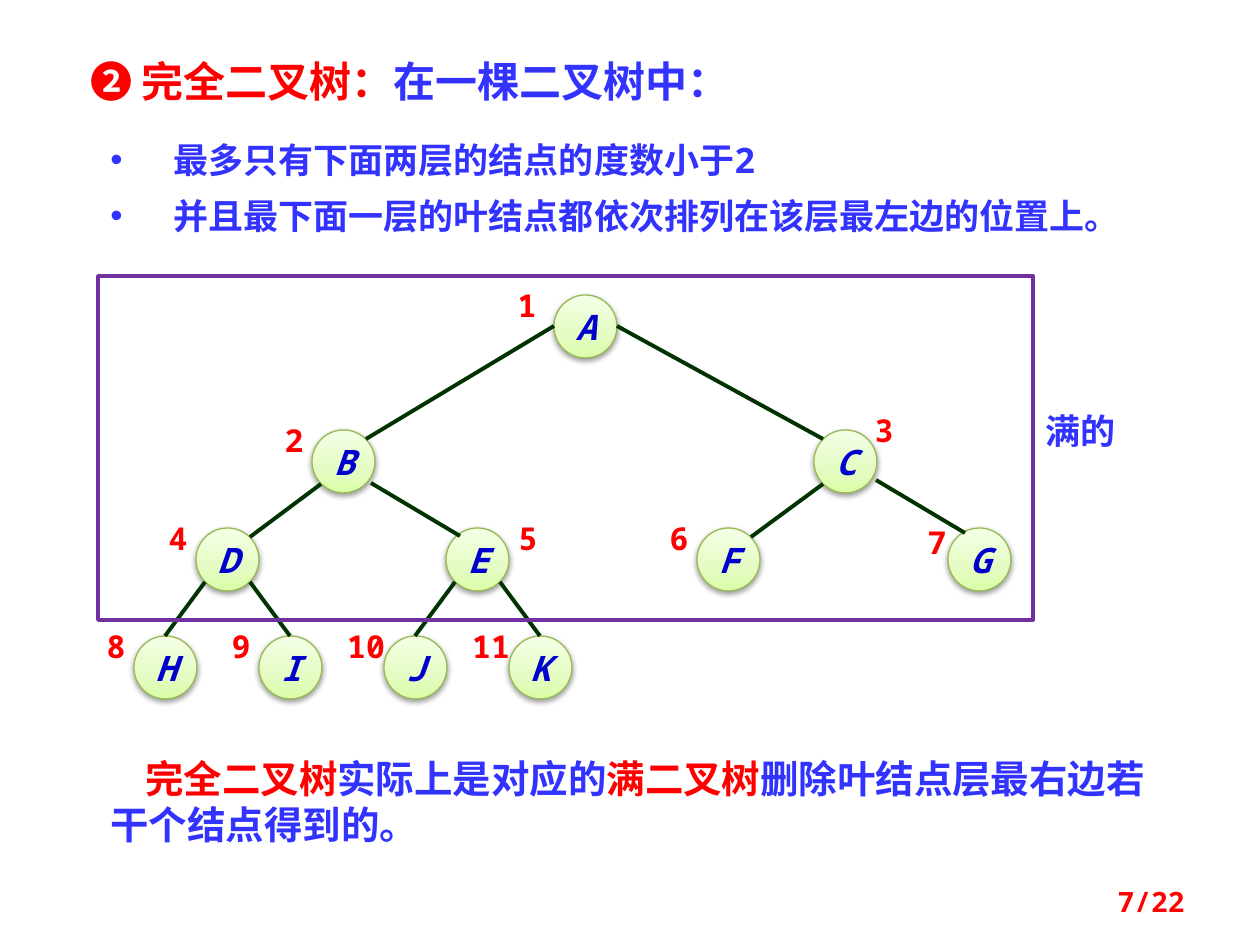
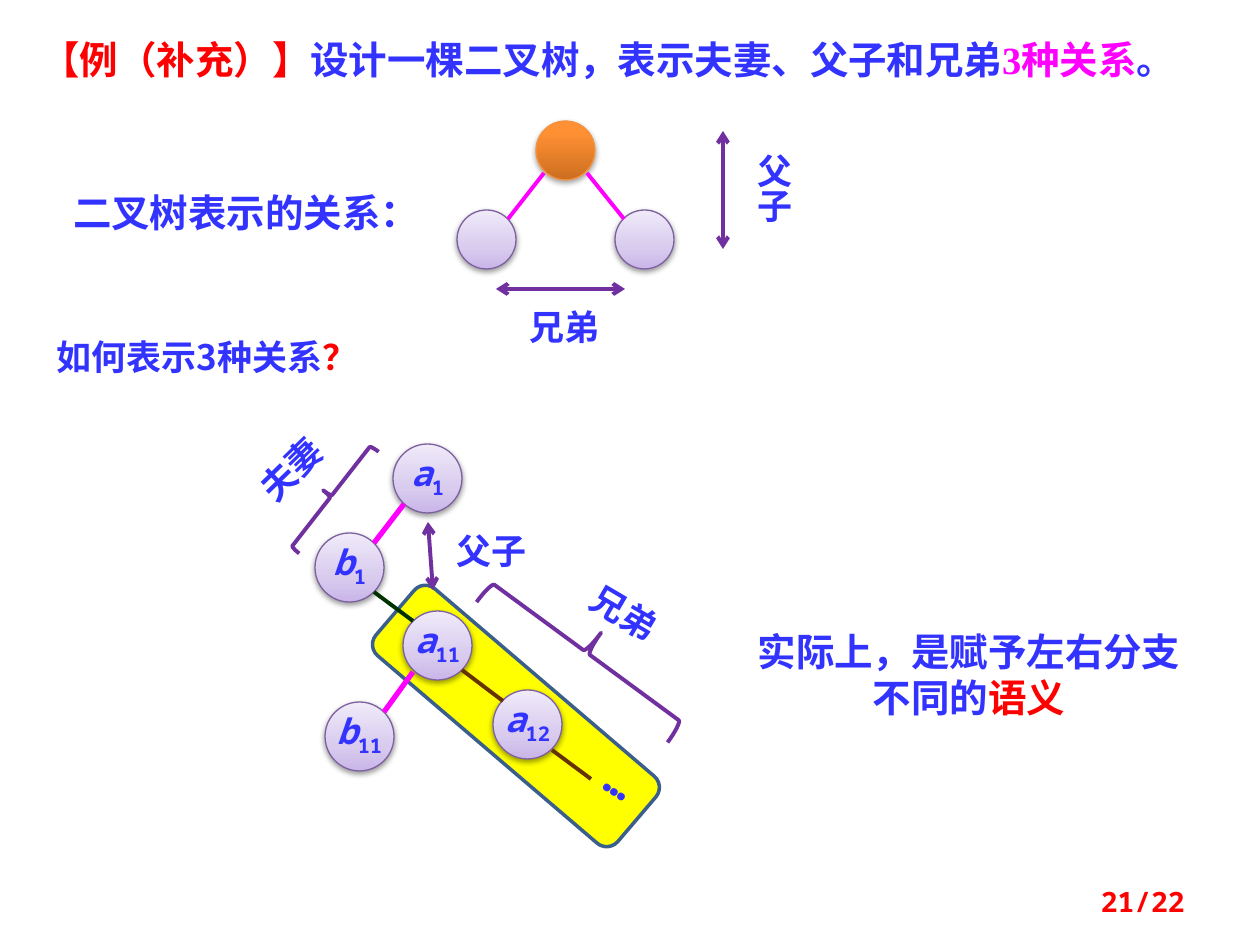
"""Build two slides on complete binary trees and on family relations shown as a binary tree."""
from pptx import Presentation
from pptx.dml.color import RGBColor
from pptx.enum.shapes import MSO_CONNECTOR, MSO_SHAPE
from pptx.enum.text import MSO_ANCHOR, PP_ALIGN
from pptx.oxml import parse_xml
from pptx.oxml.ns import nsdecls, qn
from pptx.util import Pt
from lxml.etree import SubElement

SCALE = 914400 / 126
MONO, SANS, SERIF = "Noto Sans Mono", "Noto Sans CJK SC", "Times New Roman"
BLUE, RED, PINK, PURPLE = "3333FF", "FF0000", "FF00FF", "7030A0"
NAVY, GREEN, BROWN = "0000CC", "003300", "663300"
LEFT, CENTER, RIGHT = PP_ALIGN.LEFT, PP_ALIGN.CENTER, PP_ALIGN.RIGHT
LIME_BALL = ("98B955", 38, [(0, "DAFDA7"), (35, "E4FCC2"), (100, "F5FFE7")])
LILAC_BALL = ("7D60A0", 38, [(0, "C9B5E8"), (35, "D8CBEE"), (100, "F0EAF9")])
ORANGE_BALL = ("F69240", 35, [(0, "CC6E20"), (80, "FF9034"), (100, "FF9136")])


def add_item(page, at, paragraphs=(), size=20, font=MONO, align=LEFT, kind=None, ball=None,
             fill=None, line=None, width=2, turn=0, middle=False, inset=True, wrap=True):
    """Add a text box, or a preset shape if kind is given; a run is (text, colour[, font])."""
    place = [int(length * SCALE) for length in at]
    if kind is None:
        box = page.shapes.add_textbox(*place)
    else:
        box = page.shapes.add_shape(kind, *place)
        box.shadow.inherit = False
        if fill:
            box.fill.solid()
            box.fill.fore_color.rgb = RGBColor.from_string(fill)
        else:
            box.fill.background()
        box.line.color.rgb = RGBColor.from_string(ball[0] if ball else line)
        box.line.width = Pt(0.75 if ball else width)
    if ball:
        properties = box.element.spPr
        stops = "".join(f'<a:gs pos="{position * 1000}"><a:srgbClr val="{colour}"/></a:gs>'
                        for position, colour in ball[2])
        properties.replace(properties.find(qn("a:noFill")), parse_xml(
            f'<a:gradFill {nsdecls("a")} rotWithShape="1"><a:gsLst>{stops}</a:gsLst>'
            '<a:lin ang="16200000" scaled="0"/></a:gradFill>'))
        properties.find(qn("a:effectLst")).append(parse_xml(
            f'<a:outerShdw {nsdecls("a")} blurRad="40000" dist="20000" dir="5400000" rotWithShape="0">'
            f'<a:srgbClr val="000000"><a:alpha val="{ball[1] * 1000}"/></a:srgbClr></a:outerShdw>'))
    box.rotation = turn
    frame = box.text_frame
    frame.word_wrap = wrap
    frame.vertical_anchor = MSO_ANCHOR.MIDDLE if middle else MSO_ANCHOR.TOP
    if not inset:
        frame.margin_left = frame.margin_right = frame.margin_top = frame.margin_bottom = 0
    for number, runs in enumerate(paragraphs):
        para = frame.add_paragraph() if number else frame.paragraphs[0]
        para.alignment = align
        para.line_spacing = Pt(round(size * 1.21, 1))
        for text, colour, *other_font in runs:
            span = para.add_run()
            span.text = text
            span.font.size = Pt(size)
            span.font.bold = True
            span.font.name = other_font[0] if other_font else font
            span.font.color.rgb = RGBColor.from_string(colour)
            SubElement(span.font._element, qn("a:ea")).set("typeface", SANS)
    return box


def add_line(page, start, end, colour=GREEN, width=2.25, arrows=False):
    """Draw a straight line, with open arrowheads at both ends if wanted."""
    ends = [int(length * SCALE) for length in (*start, *end)]
    line = page.shapes.add_connector(MSO_CONNECTOR.STRAIGHT, *ends)
    line.line.color.rgb = RGBColor.from_string(colour)
    line.line.width = Pt(width)
    properties = line.element.spPr
    if arrows:
        for tag in ("a:headEnd", "a:tailEnd"):
            SubElement(properties.find(qn("a:ln")), qn(tag)).set("type", "arrow")
    SubElement(properties, qn("a:effectLst"))


deck = Presentation()
deck.slide_width, deck.slide_height = int(1260 * SCALE), int(945 * SCALE)
tree_page, family_page = [deck.slides.add_slide(deck.slide_layouts[6]) for _ in range(2)]

add_item(tree_page, (78, 49, 798, 63),
         [[("❷ 完全二叉树：", RED), ("在一棵二叉树中：", BLUE)]], size=24)
conditions = add_item(tree_page, (98, 118, 1074, 126), [
    [("最多只有下面两层的结点的度数小于2", BLUE)],
    [("并且最下面一层的叶结点都依次排列在该层最左边的位置上。", BLUE)]])
for para in conditions.text_frame.paragraphs:
    para.line_spacing = Pt(32)
    layout = para._p.get_or_add_pPr()
    layout.set("marL", str(int(63 * SCALE)))
    layout.set("indent", str(int(-63 * SCALE)))
    SubElement(layout, qn("a:buFont")).set("typeface", "Arial")
    SubElement(layout, qn("a:buChar")).set("char", "•")

NODE = 63
LEVELS = [295, 430, 528, 636]
node_lefts = {"A": 554, "B": 312, "C": 814, "D": 196, "E": 446, "F": 697, "G": 948,
              "H": 134, "I": 259, "J": 384, "K": 509}
label_offsets = {"A": (-54, -9), "C": (43, -19), "E": (55, -9), "G": (-38, -5)}
node_places = {}
for number, (name, left) in enumerate(node_lefts.items(), start=1):
    top = LEVELS[number.bit_length() - 1]
    node_places[name] = (left, top)
    node = add_item(tree_page, (left, top, NODE, NODE), [[(name, NAVY)]], align=CENTER,
                    kind=MSO_SHAPE.OVAL, ball=LIME_BALL, middle=True)
    node.text_frame.paragraphs[0].runs[0].font.italic = True
    across, down = label_offsets.get(name, (-45, -9))
    add_item(tree_page, (left + across, top + down, 54, 39), [[(str(number), RED)]],
             size=18, align=CENTER, inset=False)

sites = {"top": (31, 0), "left": (0, 31), "right": (63, 31), "top left": (9, 9),
         "top right": (54, 9), "bottom left": (9, 54), "bottom right": (54, 54)}
edges = [("AB", "left", "top right"), ("AC", "right", "top left"),
         ("BD", "bottom left", "top right"), ("BE", "bottom right", "top left"),
         ("CF", "bottom left", "top right"), ("CG", "bottom right", "top left"),
         ("DH", "bottom left", "top"), ("DI", "bottom right", "top"),
         ("EJ", "bottom left", "top"), ("EK", "bottom right", "top")]
nudges = {"BE": (5, -1), "CG": (8, -4)}
for pair, *pair_sites in edges:
    nudge = nudges.get(pair, (0, 0))
    start, end = [tuple(map(sum, zip(node_places[name], sites[site], nudge)))
                  for name, site in zip(pair, pair_sites)]
    add_line(tree_page, start, end)

conclusion = add_item(tree_page, (98, 748, 1092, 106), [[
    ("完全二叉树", RED), ("实际上是对应的", BLUE), ("满二叉树", RED),
    ("删除叶结点层最右边若干个结点得到的。", BLUE)]], size=22)
conclusion.text_frame.paragraphs[0]._p.get_or_add_pPr().set("indent", str(int(35 * SCALE)))
add_item(tree_page, (98, 276, 935, 344), kind=MSO_SHAPE.RECTANGLE, line=PURPLE)
add_item(tree_page, (1033, 403, 108, 55), [[("满的", BLUE)]])

add_item(family_page, (472, 557, 88, 318), kind=MSO_SHAPE.ROUNDED_RECTANGLE,
         fill="FFFF00", line="3A5F8C", turn=310.5)
add_item(family_page, (29, 29, 1191, 59), [[
    ("【例（补充）】", RED, SANS), ("设计一棵二叉树，表示夫妻、父子和兄弟", BLUE),
    ("3种关系", PINK), ("。", BLUE)]], size=22, font=SERIF)
add_item(family_page, (59, 183, 374, 59), [[("二叉树表示的关系：", BLUE)]],
         size=22, font=SERIF, align=CENTER)
add_item(family_page, (44, 329, 403, 55), [[("如何表示3种关系", BLUE), ("？", RED)]], font=SANS)
add_item(family_page, (738, 621, 462, 106),
         [[("实际上，是赋予左右分支不同的", BLUE), ("语义", RED)]],
         size=22, font=SERIF, align=CENTER)

for left, top, ball in [(536, 121, ORANGE_BALL), (457, 210, LILAC_BALL), (615, 210, LILAC_BALL)]:
    add_item(family_page, (left, top, 59, 59), kind=MSO_SHAPE.OVAL, ball=ball)

for left, top, letter, index in [(393, 444, "a", "1"), (315, 533, "b", "1"), (403, 611, "a", "11"),
                                 (493, 690, "a", "12"), (325, 702, "b", "11")]:
    person = add_item(family_page, (left, top, 69, 69), [[(letter, BLUE), (index, BLUE)]],
                      align=CENTER, kind=MSO_SHAPE.OVAL, ball=LILAC_BALL, middle=True, wrap=False)
    name_span, index_span = person.text_frame.paragraphs[0].runs
    name_span.font.italic = True
    index_span.font._element.set("baseline", "-25000")

for start, end, colour, width in [
        ((544, 173), (508, 219), PINK, 2.25), ((587, 173), (624, 219), PINK, 2.25),
        ((404, 504), (374, 543), PINK, 3), ((413, 672), (384, 712), PINK, 3),
        ((374, 592), (413, 621), GREEN, 2.25), ((462, 670), (503, 701), BROWN, 2.25),
        ((552, 750), (591, 779), BROWN, 2.25)]:
    add_line(family_page, start, end, colour, width)
for start, end in [((723, 131), (723, 249)), ((496, 289), (625, 289)), ((428, 522), (433, 590))]:
    add_line(family_page, start, end, PURPLE, arrows=True)
for at, turn in [((321, 432, 20, 129), 38), ((562, 534, 49, 237), 126.3)]:
    add_item(family_page, at, kind=MSO_SHAPE.LEFT_BRACE, line=PURPLE, width=2.25, turn=turn)

generations = add_item(family_page, (733, 141, 68, 98), [[("父子", BLUE)]], font=SERIF)
generations.element.txBody.bodyPr.set("vert", "eaVert")
for at, text, font, align, turn in [
        ((517, 299, 129, 55), "兄弟", SERIF, LEFT, 0), ((444, 523, 98, 55), "父子", MONO, LEFT, 0),
        ((242, 441, 98, 55), "夫妻", MONO, CENTER, 315.8),
        ((556, 585, 137, 55), "兄弟", MONO, CENTER, 30.4)]:
    add_item(family_page, at, [[(text, BLUE)]], font=font, align=align, turn=turn)
add_item(family_page, (592, 756, 59, 50), [[("…", BLUE)]], size=24, align=CENTER,
         turn=32.4, inset=False)

for page, number in [(tree_page, 7), (family_page, 21)]:
    add_item(page, (903, 876, 294, 50), [[(f"{number}/22", RED)]], size=16, align=RIGHT, middle=True)

deck.save("out.pptx")
